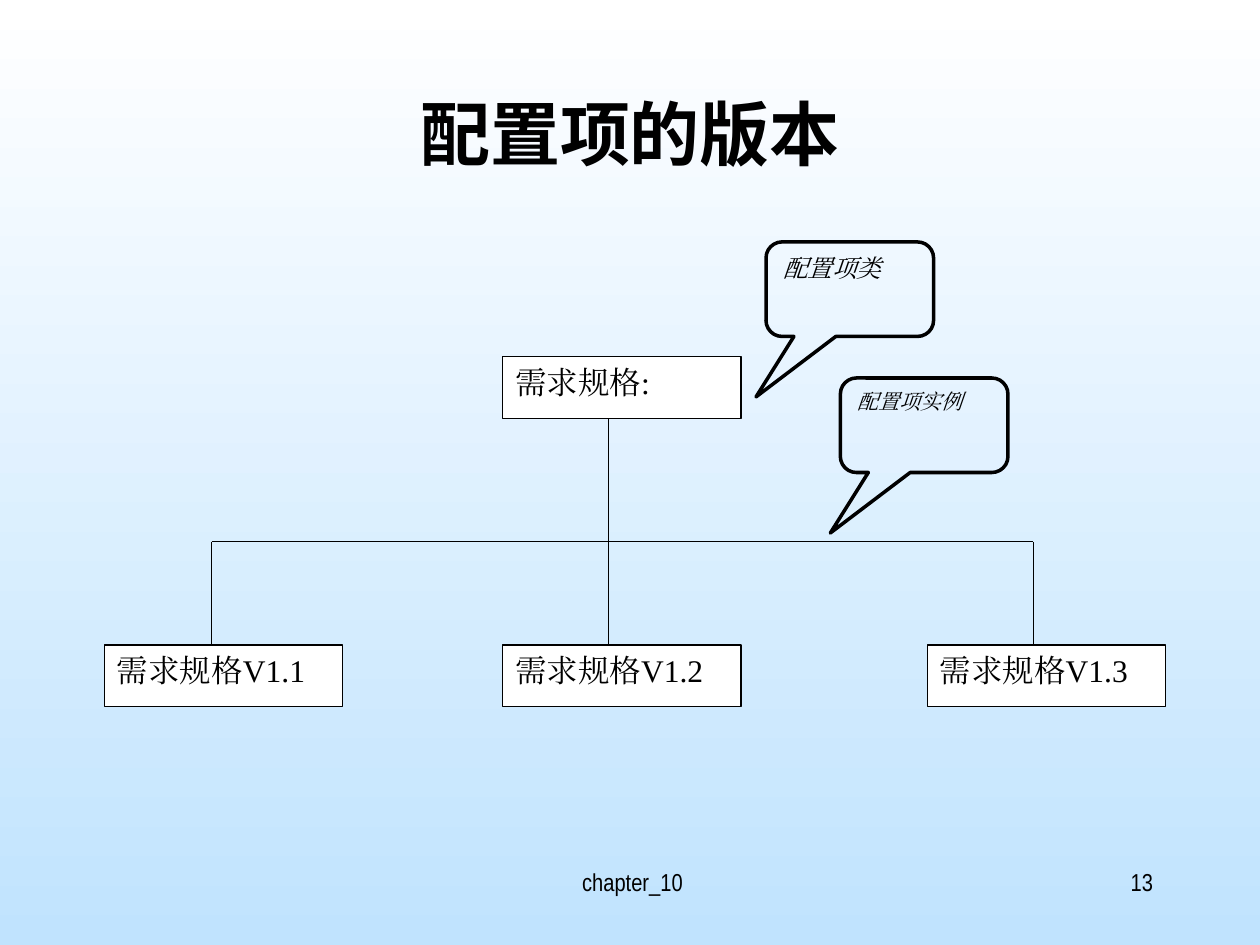
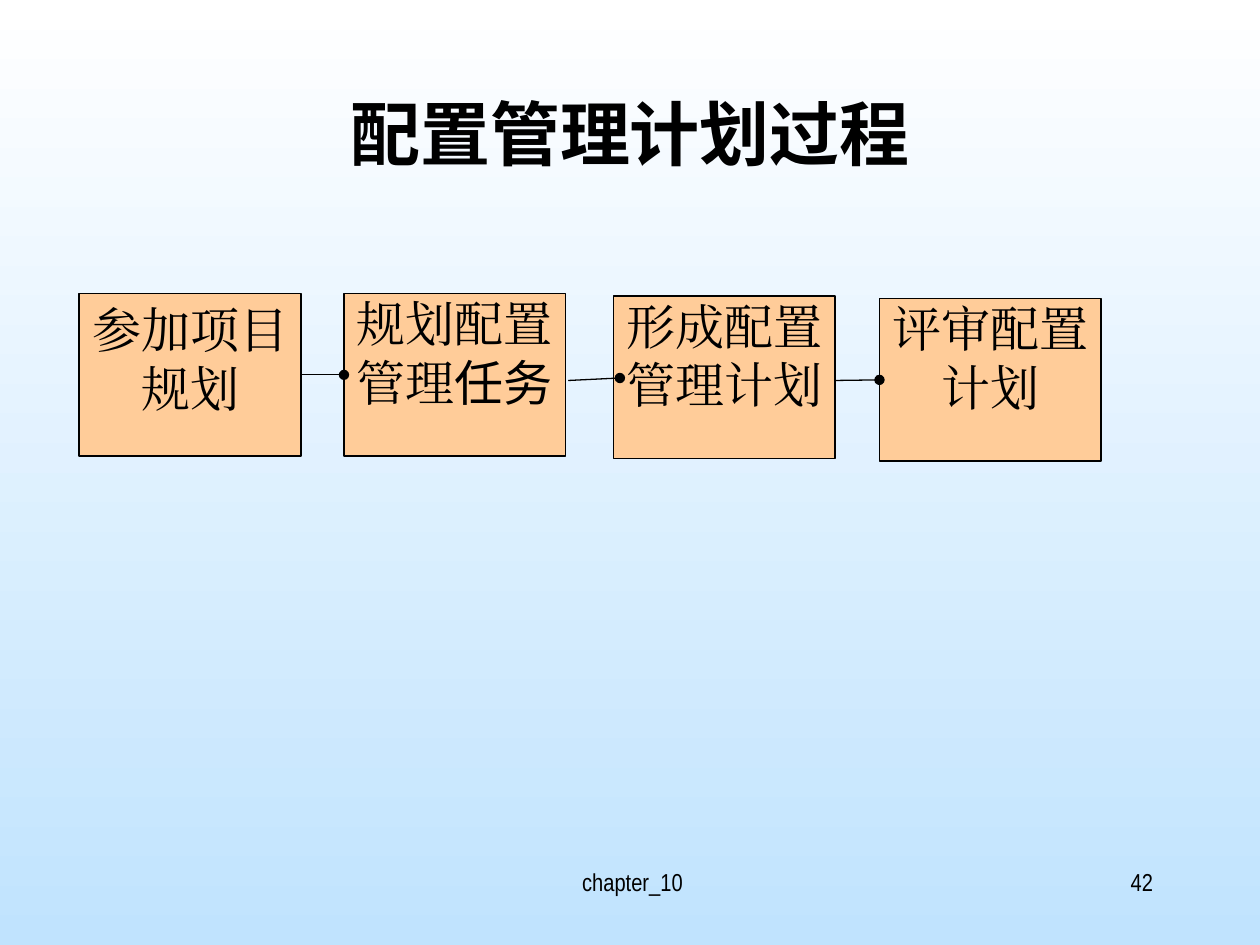
from dataclasses import dataclass
from typing import Optional

from lxml.etree import SubElement
from pptx import Presentation
from pptx.dml.color import RGBColor
from pptx.enum.shapes import MSO_CONNECTOR, MSO_SHAPE
from pptx.enum.text import MSO_ANCHOR, MSO_AUTO_SIZE, PP_ALIGN
from pptx.oxml.ns import qn
from pptx.util import Inches, Pt

COLORS = {"ink": "000000", "white": "FFFFFF", "sky": "C0E3FE", "peach": "FFCC99"}
SERIF, SANS, NARROW = "Times New Roman", "Noto Sans CJK SC", "Arial Narrow"
TITLE_ONLY = 5
TOP, LEFT, BOTTOM, RIGHT = range(4)


@dataclass(frozen=True)
class TextStyle:
    size: float
    font: str = SERIF
    align: PP_ALIGN = PP_ALIGN.LEFT
    bold: bool = False
    italic: bool = False
    inset: tuple = (0.1, 0.05)


@dataclass(frozen=True)
class Panel:
    left: float
    top: float
    width: float
    height: float
    spans: tuple
    style: TextStyle
    fill: Optional[str] = None
    line: float = 0.75
    preset: MSO_SHAPE = MSO_SHAPE.RECTANGLE
    adjustments: tuple = ()


TITLE = TextStyle(40, SANS, PP_ALIGN.CENTER, bold=True)
FOOTER = TextStyle(14, NARROW, PP_ALIGN.CENTER)
PAGE_NUMBER = TextStyle(14, NARROW, PP_ALIGN.RIGHT)
ITEM = TextStyle(18, align=PP_ALIGN.JUSTIFY)
FIRST_STEP = TextStyle(28, align=PP_ALIGN.CENTER, inset=(0.02, 0.05))
STEP = TextStyle(28, align=PP_ALIGN.CENTER, inset=(0, 0))


def color(name: str) -> RGBColor:
    return RGBColor.from_string(COLORS[name])


def write(frame, spans: tuple, style: TextStyle) -> None:
    """Fill a text frame; a span is a text, or a (text, font) pair."""
    across, down = map(Inches, style.inset)
    settings = {
        "word_wrap": True, "auto_size": MSO_AUTO_SIZE.NONE,
        "vertical_anchor": MSO_ANCHOR.TOP,
        "margin_left": across, "margin_right": across,
        "margin_top": down, "margin_bottom": down,
    }
    for name, value in settings.items():
        setattr(frame, name, value)
    para = frame.paragraphs[0]
    para.alignment = style.align
    for item in spans:
        text, face = (item, style.font) if isinstance(item, str) else item
        span = para.add_run()
        span.text = text
        font_format = {"size": Pt(style.size), "name": face,
                       "bold": style.bold, "italic": style.italic}
        for name, value in font_format.items():
            setattr(span.font, name, value)
        span.font.color.rgb = color("ink")
        SubElement(span.font._element, qn("a:ea"), typeface=face)


def place(shape, left: float, top: float, width: float, height: float) -> None:
    bounds = {"left": left, "top": top, "width": width, "height": height}
    for name, value in bounds.items():
        setattr(shape, name, Inches(value))


def add_text(page, bounds: tuple, text: str, style: TextStyle) -> None:
    box = page.shapes.add_textbox(*map(Inches, bounds))
    write(box.text_frame, (text,), style)


def add_page(deck, title: str, number: int):
    page = deck.slides.add_slide(deck.slide_layouts[TITLE_ONLY])
    place(page.shapes.title, 0.75, 0.67, 8.5, 1.25)
    write(page.shapes.title.text_frame, (title,), TITLE)
    add_text(page, (3.42, 6.83, 3.2, 0.5), "chapter_10", FOOTER)
    add_text(page, (7.17, 6.83, 2.08, 0.5), str(number), PAGE_NUMBER)
    return page


def add_panel(page, panel: Panel):
    bounds = (panel.left, panel.top, panel.width, panel.height)
    box = page.shapes.add_shape(panel.preset, *map(Inches, bounds))
    box.shadow.inherit = False
    for index, value in enumerate(panel.adjustments):
        box.adjustments[index] = value
    if panel.fill:
        box.fill.solid()
        box.fill.fore_color.rgb = color(panel.fill)
    else:
        box.fill.background()
    box.line.color.rgb = color("ink")
    box.line.width = Pt(panel.line)
    write(box.text_frame, panel.spans, panel.style)
    return box


def add_line(page, start: tuple, end: tuple, dot: bool = False):
    """Draw a thin line, with a round dot at its end if asked."""
    points = map(Inches, (*start, *end))
    line = page.shapes.add_connector(MSO_CONNECTOR.STRAIGHT, *points)
    line.line.color.rgb = color("ink")
    line.line.width = Pt(0.75)
    if dot:
        SubElement(line.line._get_or_add_ln(), qn("a:tailEnd"), type="oval")
    SubElement(line._element.spPr, qn("a:effectLst"))
    return line


def build_versions(deck) -> None:
    page = add_page(deck, "配置项的版本", 13)
    root_top, version_top, width, height = 2.83, 5.12, 1.89, 0.49
    items = [(3.99, root_top, "需求规格:")]
    items += [(left, version_top, f"需求规格V1.{number}")
              for number, left in enumerate((0.83, 3.99, 7.36), 1)]
    for left, top, text in items:
        add_panel(page, Panel(left, top, width, height, (text,), ITEM, "white"))

    branch_left, trunk, branch_right, branch_top = 1.68, 4.83, 8.2, 4.3
    add_line(page, (branch_left, branch_top), (branch_right, branch_top))
    add_line(page, (trunk, root_top + height), (trunk, version_top))
    for branch in (branch_left, branch_right):
        add_line(page, (branch, branch_top), (branch, version_top))

    callouts = ((6.08, 1.92, "配置项类", 14), (6.67, 3, "配置项实例", 12))
    for left, top, text, size in callouts:
        add_panel(page, Panel(
            left, top, 1.33, 0.75, (text,), TextStyle(size, italic=True), line=2,
            preset=MSO_SHAPE.ROUNDED_RECTANGULAR_CALLOUT,
            adjustments=(-0.56, 1.14, 0.17)))


def build_planning(deck) -> None:
    page = add_page(deck, "配置管理计划过程", 42)
    steps = (
        (0.63, 2.33, ("参加项目规划",), FIRST_STEP),
        (2.73, 2.33, ("规划配置管理", ("任务", SANS)), STEP),
        (4.87, 2.35, ("形成配置管理计划",), STEP),
        (6.98, 2.37, ("评审配置计划",), STEP),
    )
    join, plan, form, review = [
        add_panel(page, Panel(left, top, 1.76, 1.29, spans, style, "peach", 1))
        for left, top, spans, style in steps
    ]
    join_to_plan = add_line(page, (2.38, 2.98), (2.74, 2.98), dot=True)
    join_to_plan.begin_connect(join, RIGHT)
    join_to_plan.end_connect(plan, LEFT)
    add_line(page, (4.51, 3.02), (4.92, 3), dot=True)
    form_to_review = add_line(page, (6.62, 3.02), (6.98, 3.02), dot=True)
    form_to_review.end_connect(review, LEFT)


def main() -> None:
    deck = Presentation()
    deck.slide_width, deck.slide_height = Inches(10), Inches(7.5)
    background = deck.slide_master.background.fill
    background.gradient()
    background.gradient_angle = 270
    for stop, name in zip(background.gradient_stops, ("white", "sky")):
        stop.color.rgb = color(name)
    build_versions(deck)
    build_planning(deck)
    deck.save("out.pptx")


if __name__ == "__main__":
    main()
